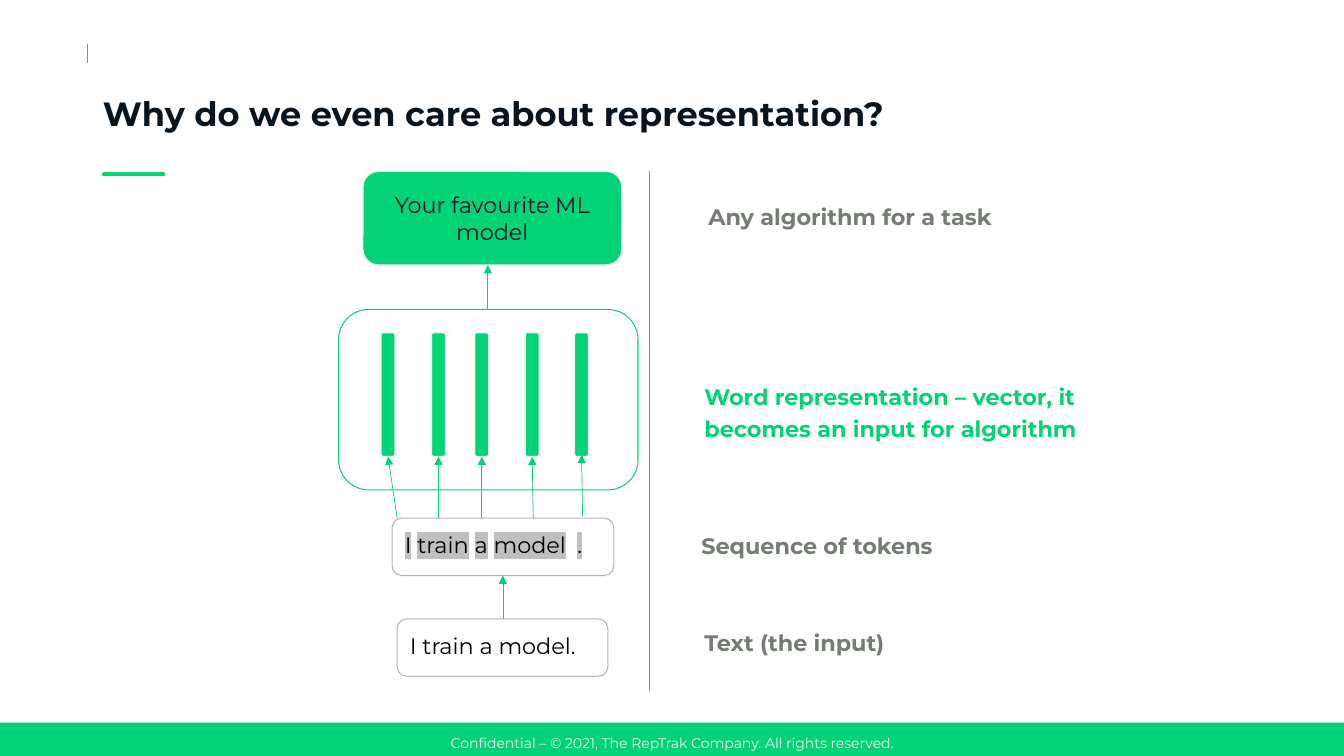
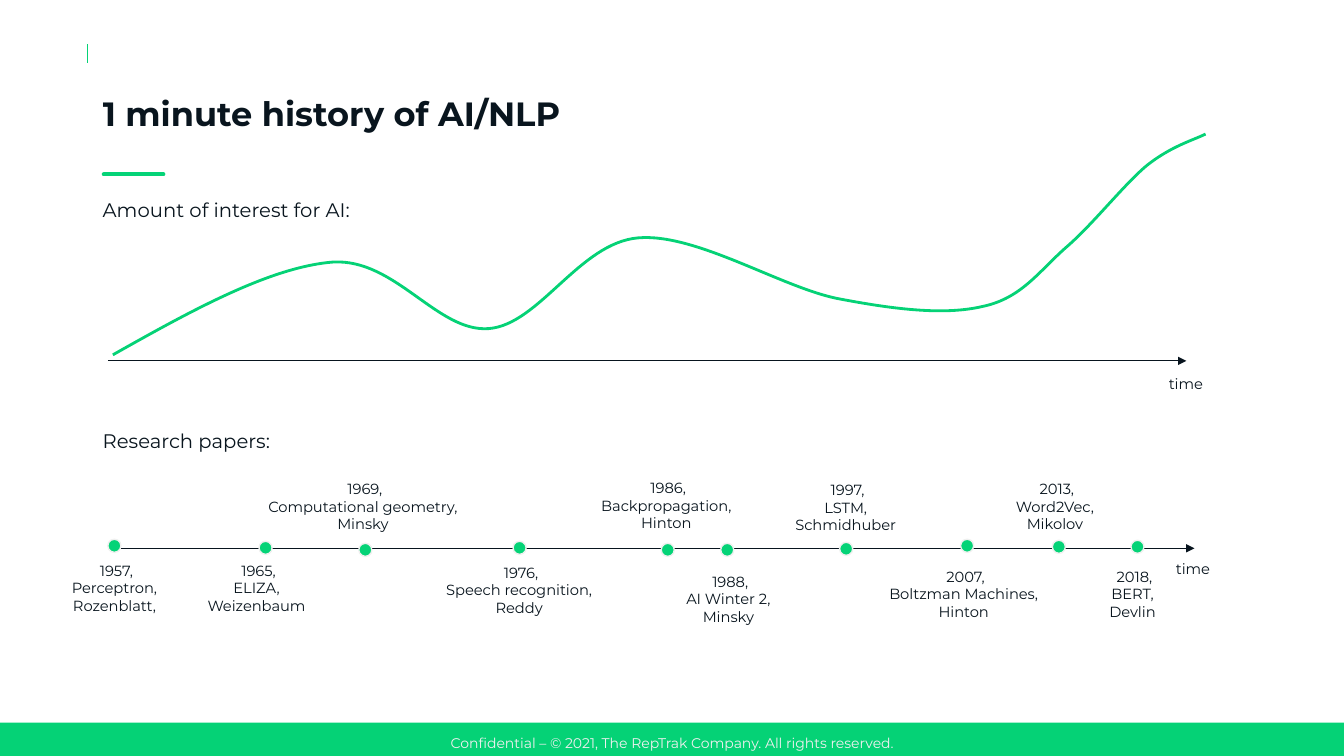
from dataclasses import dataclass
from typing import NamedTuple, Optional

from lxml import etree
from pptx import Presentation
from pptx.dml.color import RGBColor
from pptx.enum.shapes import MSO_CONNECTOR, MSO_SHAPE
from pptx.enum.text import MSO_ANCHOR, MSO_AUTO_SIZE, PP_ALIGN
from pptx.oxml.ns import qn
from pptx.util import Inches, Pt

LEFT, CENTER = PP_ALIGN.LEFT, PP_ALIGN.CENTER
TOP, MIDDLE, BOTTOM = MSO_ANCHOR.TOP, MSO_ANCHOR.MIDDLE, MSO_ANCHOR.BOTTOM
RECT, ROUND, OVAL = MSO_SHAPE.RECTANGLE, MSO_SHAPE.ROUNDED_RECTANGLE, MSO_SHAPE.OVAL
TITLE_ONLY = 5
SLIDE_W, SLIDE_H = 40 / 3, 7.5


@dataclass(frozen=True)
class Theme:
    font: str = "Montserrat"
    green: str = "05D276"
    fill_green: str = "05D377"
    divider: str = "04D477"
    ink: str = "09151E"
    axis: str = "08141E"
    black: str = "000000"
    grey: str = "747C74"
    pale: str = "F0F0F0"
    rim: str = "EFF0EF"
    border: str = "B4B4B4"
    token: str = "C0C0C0"
    title_size: float = 24
    body_size: float = 16
    heading_size: float = 14
    label_size: float = 10.5
    footer_size: float = 10
    body_leading: float = 22.8


THEME = Theme()


class Box(NamedTuple):
    left: float
    top: float
    width: float
    height: float


class Point(NamedTuple):
    x: float
    y: float


class TextStyle(NamedTuple):
    size: float
    color: str
    bold: bool = False
    align: PP_ALIGN = LEFT
    leading: Optional[float] = None


class Caption(NamedTuple):
    box: Box
    text: str
    color: str = THEME.grey


class Vector(NamedTuple):
    bar_left: float
    token_x: float
    arrow_lift: float = 0


class Paper(NamedTuple):
    dot: Point
    label: Point
    label_width: float
    lines: tuple[str, ...]


BODY = TextStyle(THEME.body_size, THEME.black, leading=THEME.body_leading)
MODEL = TextStyle(THEME.body_size, THEME.ink, align=CENTER)
HEADING = TextStyle(THEME.heading_size, THEME.ink)
LABEL = TextStyle(THEME.label_size, THEME.ink, align=CENTER)
FOOTER = TextStyle(THEME.footer_size, THEME.pale, align=CENTER)

CAPTIONS = (
    Caption(Box(6.93, 1.92, 3.39, 0.49), "Any algorithm for a task"),
    Caption(Box(6.89, 3.7, 4.64, 0.49),
            "Word representation – vector, it becomes an input for algorithm", THEME.green),
    Caption(Box(6.86, 5.18, 2.8, 0.49), "Sequence of tokens"),
    Caption(Box(6.89, 6.14, 2.45, 0.49), "Text (the input)"),
)
VECTORS = (Vector(3.78, 3.94), Vector(4.28, 4.35), Vector(4.71, 4.78),
           Vector(5.21, 5.29), Vector(5.7, 5.78, 0.02))
BAR_W, BAR_TOP, BAR_H = 0.14, 3.3, 1.23
TOKENS = ("I", "train", "a", "model", ".")
TOKENS_TOP = 5.14

PAPERS = (
    Paper(Point(1.07, 5.35), Point(0.6, 5.52), 1.11, ("1957,", "Perceptron, ", "Rozenblatt, ")),
    Paper(Point(2.57, 5.37), Point(1.93, 5.52), 1.27, ("1965,", "ELIZA, ", "Weizenbaum ")),
    Paper(Point(3.56, 5.39), Point(2.54, 4.71), 2.16,
          ("1969,", "Computational geometry, ", "Minsky ")),
    Paper(Point(5.09, 5.37), Point(4.31, 5.54), 1.72,
          ("1976,", "Speech recognition, ", "Reddy ")),
    Paper(Point(6.56, 5.39), Point(5.85, 4.7), 1.56, ("1986,", "Backpropagation, ", "Hinton ")),
    Paper(Point(7.15, 5.39), Point(6.7, 5.63), 1.09, ("1988,", "AI Winter 2, ", "Minsky ")),
    Paper(Point(8.33, 5.38), Point(7.78, 4.72), 1.26, ("1997,", "LSTM, ", "Schmidhuber ")),
    Paper(Point(9.53, 5.35), Point(8.71, 5.58), 1.74,
          ("2007,", "Boltzman Machines, ", "Hinton ")),
    Paper(Point(10.44, 5.36), Point(9.96, 4.71), 1.05, ("2013,", "Word2Vec, ", "Mikolov ")),
    Paper(Point(11.22, 5.36), Point(10.9, 5.58), 0.71, ("2018,", "BERT, ", "Devlin ")),
)
DOT = 0.13
# Start point, then two controls and an end point for each stretch.
INTEREST = tuple(Point(x, y) for x, y in (
    (1.12, 3.52), (1.9, 3.08), (2.68, 2.65), (3.3, 2.6),
    (3.92, 2.56), (4.34, 3.3), (4.85, 3.26),
    (5.35, 3.22), (5.75, 2.41), (6.33, 2.36),
    (6.9, 2.31), (7.73, 2.84), (8.3, 2.96),
    (8.87, 3.07), (9.37, 3.13), (9.75, 3.04),
    (10.13, 2.96), (10.3, 2.7), (10.57, 2.46),
    (10.84, 2.23), (11.15, 1.83), (11.38, 1.64),
    (11.62, 1.45), (11.84, 1.39), (11.96, 1.33)))


def rgb(color: str) -> RGBColor:
    return RGBColor.from_string(color)


def inches(values) -> list[Inches]:
    return [Inches(v) for v in values]


def style_paragraph(p, style: TextStyle) -> None:
    p.alignment = style.align
    if style.leading:
        p.line_spacing = Pt(style.leading)
    p.font.name = THEME.font
    p.font.size = Pt(style.size)
    p.font.bold = style.bold
    p.font.color.rgb = rgb(style.color)


def write(tf, lines: tuple[str, ...], style: TextStyle, anchor=TOP, wrap=True) -> None:
    tf.word_wrap = wrap
    tf.vertical_anchor = anchor
    for i, line in enumerate(lines):
        p = tf.add_paragraph() if i else tf.paragraphs[0]
        p.text = line
        style_paragraph(p, style)


def add_text(slide, box: Box, lines: tuple[str, ...], style: TextStyle, wrap=True) -> None:
    tf = slide.shapes.add_textbox(*inches(box)).text_frame
    write(tf, lines, style, wrap=wrap)
    if not wrap:
        tf.auto_size = MSO_AUTO_SIZE.SHAPE_TO_FIT_TEXT


def add_shape(slide, kind, box: Box, fill: Optional[str] = None,
              line: Optional[str] = None, weight: float = 0.75):
    sp = slide.shapes.add_shape(kind, *inches(box))
    sp.shadow.inherit = False
    if fill:
        sp.fill.solid()
        sp.fill.fore_color.rgb = rgb(fill)
    else:
        sp.fill.background()
    if line:
        sp.line.color.rgb = rgb(line)
        sp.line.width = Pt(weight)
    else:
        sp.line.fill.background()
    return sp


def add_solid(slide, kind, box: Box):
    return add_shape(slide, kind, box, THEME.fill_green, THEME.rim, 1)


def add_line(slide, start: Point, end: Point, color: str = THEME.green, weight: float = 0.5,
             arrow: bool = False, rounded: bool = False) -> None:
    line = slide.shapes.add_connector(MSO_CONNECTOR.STRAIGHT, *inches(start), *inches(end))
    line.line.color.rgb = rgb(color)
    line.line.width = Pt(weight)
    sp_pr = line._element.spPr
    ln = sp_pr.find(qn("a:ln"))
    if rounded:
        ln.set("cap", "rnd")
    if arrow:
        etree.SubElement(ln, qn("a:tailEnd"), type="triangle")
    etree.SubElement(sp_pr, qn("a:effectLst"))


def add_slide(prs, title: str):
    """Add a slide with the shared title, accent lines and footer band."""
    slide = prs.slides.add_slide(prs.slide_layouts[TITLE_ONLY])
    add_line(slide, Point(0.87, 0.44), Point(0.87, 0.63), weight=1)
    add_line(slide, Point(1.03, 1.73), Point(1.62, 1.73), THEME.fill_green, 3, rounded=True)
    sp = slide.shapes.title
    sp.left, sp.top, sp.width, sp.height = inches(Box(0.92, 0.74, 11.5, 0.81))
    write(sp.text_frame, (title,), TextStyle(THEME.title_size, THEME.ink, bold=True), MIDDLE)
    sp.text_frame.auto_size = MSO_AUTO_SIZE.NONE
    sp.text_frame.paragraphs[0].line_spacing = 0.9
    band = add_shape(slide, RECT, Box(0, 7.17, SLIDE_W, 0.33), THEME.green)
    write(band.text_frame, ("Confidential – © 2021, The RepTrak Company. All rights reserved.",),
          FOOTER, BOTTOM)
    return slide


def write_tokens(tf) -> None:
    """Write the tokens highlighted, with a wider gap before the full stop."""
    tf.word_wrap = True
    tf.vertical_anchor = TOP
    p = tf.paragraphs[0]
    for i, token in enumerate(TOKENS):
        if i:
            gap = p.add_run()
            gap.text = " "
            if token == ".":
                gap._r.get_or_add_rPr().set("spc", "400")
        r = p.add_run()
        r.text = token
        highlight = etree.SubElement(r._r.get_or_add_rPr(), qn("a:highlight"))
        etree.SubElement(highlight, qn("a:srgbClr"), val=THEME.token)
    style_paragraph(p, BODY)


def build_representation(prs) -> None:
    slide = add_slide(prs, "Why do we even care about representation?")
    add_line(slide, Point(6.44, 1.7), Point(6.44, 6.86), THEME.divider)
    for caption in CAPTIONS:
        add_text(slide, caption.box, (caption.text,),
                 BODY._replace(color=caption.color, bold=True))

    sentence = add_shape(slide, ROUND, Box(3.94, 6.14, 2.09, 0.57), line=THEME.border)
    write(sentence.text_frame, ("I train a model.",), BODY)
    tokens = add_shape(slide, ROUND, Box(3.89, TOKENS_TOP, 2.2, 0.57), line=THEME.border)
    write_tokens(tokens.text_frame)
    add_line(slide, Point(4.99, 6.14), Point(4.99, 5.71), arrow=True)

    for vector in VECTORS:
        add_solid(slide, ROUND, Box(vector.bar_left, BAR_TOP, BAR_W, BAR_H))
        add_line(slide, Point(vector.token_x, TOKENS_TOP - vector.arrow_lift),
                 Point(vector.bar_left + BAR_W / 2, BAR_TOP + BAR_H - vector.arrow_lift),
                 arrow=True)

    model = add_solid(slide, ROUND, Box(3.6, 1.7, 2.57, 0.93))
    write(model.text_frame, ("Your favourite ML model",), MODEL, MIDDLE)
    add_line(slide, Point(4.84, 3.07), Point(4.84, 2.63), arrow=True)
    add_shape(slide, ROUND, Box(3.36, 3.07, 2.97, 1.79), line=THEME.fill_green)


def add_curve(slide, points: tuple[Point, ...]) -> None:
    """Draw a freeform through every third point, then bend its segments."""
    builder = slide.shapes.build_freeform(*inches(points[0]))
    builder.add_line_segments([inches(q) for q in points[3::3]], close=False)
    curve = builder.convert_to_shape()
    segments = list(curve._element.iter(qn("a:lnTo")))
    for i, segment in enumerate(segments):
        bend = etree.Element(qn("a:cubicBezTo"))
        for q in points[3 * i + 1:3 * i + 4]:
            etree.SubElement(bend, qn("a:pt"), x=str(Inches(q.x) - curve.left),
                             y=str(Inches(q.y) - curve.top))
        segment.getparent().replace(segment, bend)
    curve.shadow.inherit = False
    curve.fill.background()
    curve.line.color.rgb = rgb(THEME.green)
    curve.line.width = Pt(2)


def add_time_axis(slide, start: Point, end_x: float, label: Point) -> None:
    add_line(slide, start, Point(end_x, start.y), THEME.axis, arrow=True)
    add_text(slide, Box(*label, 0.55, 0.63), ("time",), LABEL, wrap=False)


def build_history(prs) -> None:
    slide = add_slide(prs, "1 minute history of AI/NLP")
    add_text(slide, Box(0.92, 1.91, 2.68, 0.34), ("Amount of interest for AI:",), HEADING, False)
    add_time_axis(slide, Point(1.07, 3.58), 11.77, Point(11.49, 3.67))
    add_curve(slide, INTEREST)

    add_text(slide, Box(0.92, 4.21, 1.89, 0.34), ("Research papers:",), HEADING, False)
    add_time_axis(slide, Point(1.16, 5.44), 11.85, Point(11.56, 5.5))
    for paper in PAPERS:
        add_solid(slide, OVAL, Box(*paper.dot, DOT, DOT))
        add_text(slide, Box(*paper.label, paper.label_width, 0.81), paper.lines, LABEL, False)


def main() -> None:
    prs = Presentation()
    prs.slide_width, prs.slide_height = inches((SLIDE_W, SLIDE_H))
    build_representation(prs)
    build_history(prs)
    prs.save("out.pptx")


if __name__ == "__main__":
    main()
